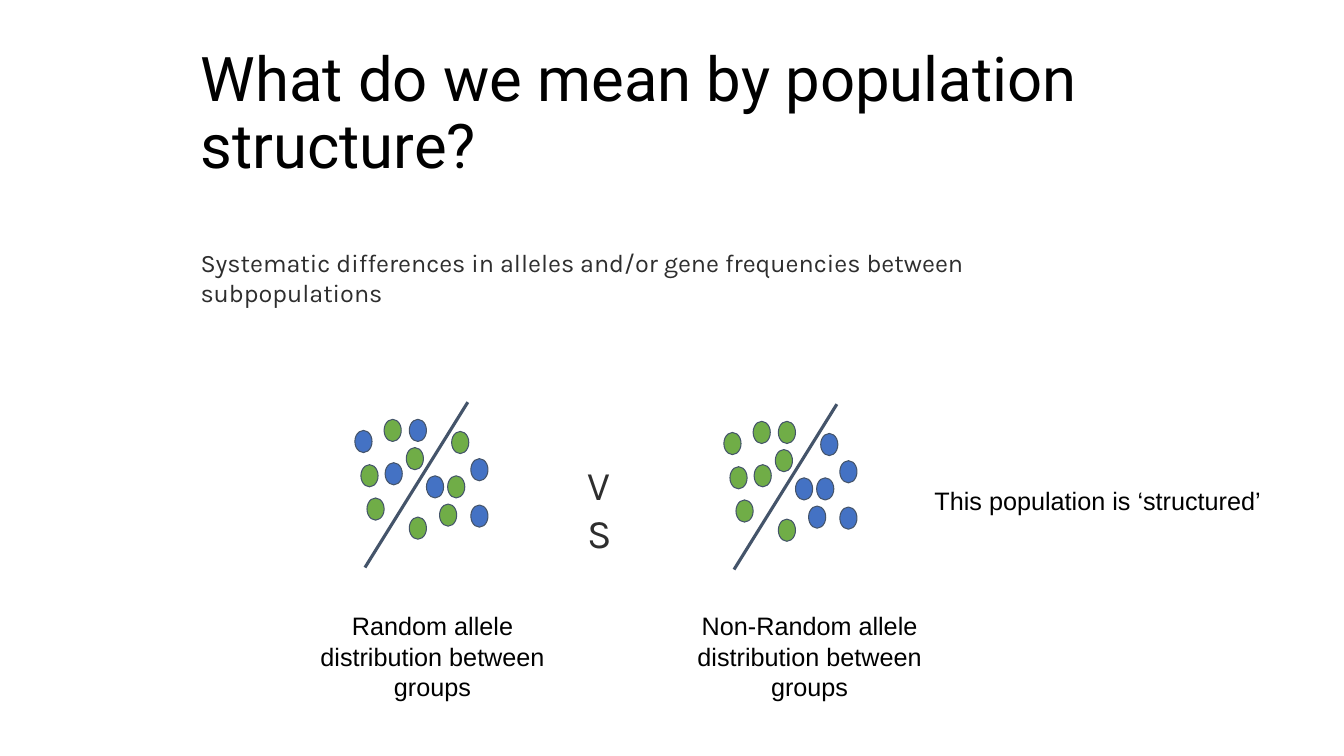
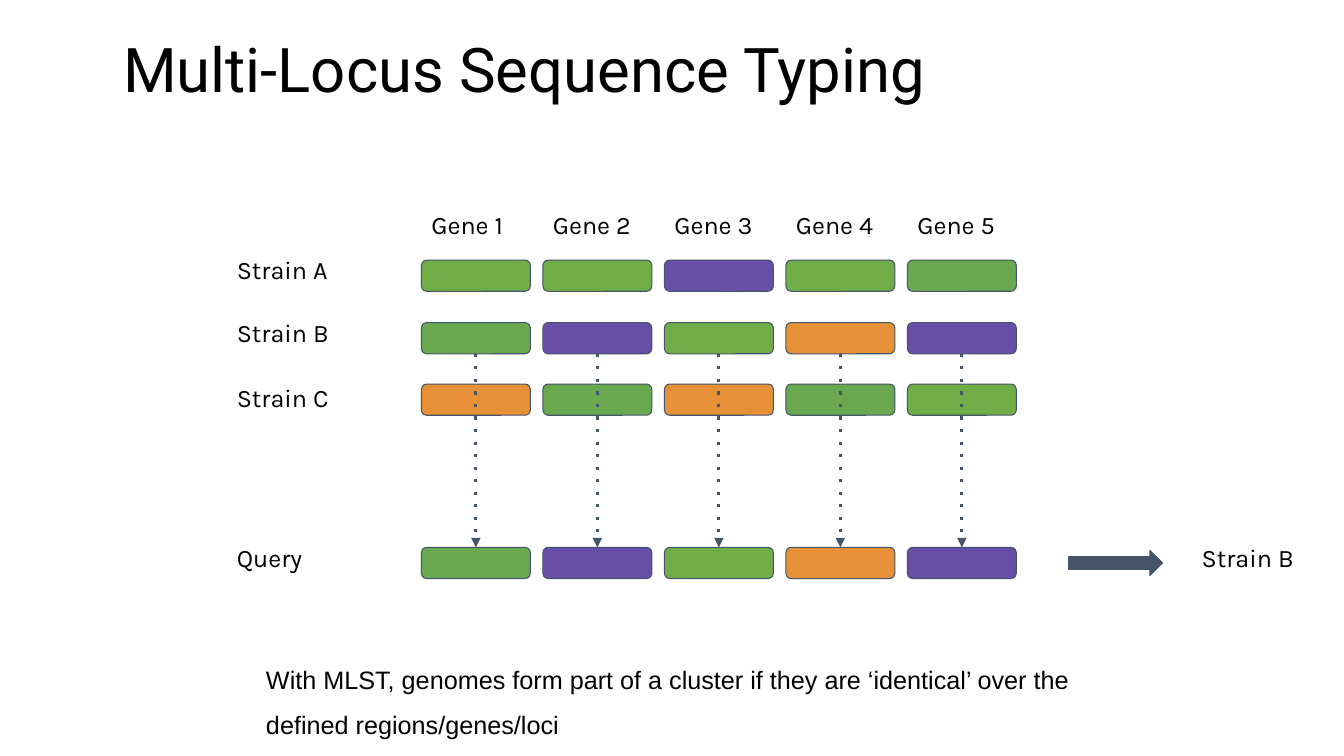
from lxml import etree
from pptx import Presentation
from pptx.dml.color import RGBColor
from pptx.enum.shapes import MSO_CONNECTOR, MSO_SHAPE
from pptx.enum.text import MSO_ANCHOR, MSO_AUTO_SIZE, PP_ALIGN
from pptx.oxml.ns import qn
from pptx.util import Inches, Pt

BLACK = RGBColor(0x00, 0x00, 0x00)
CHARCOAL = RGBColor(0x2E, 0x2E, 0x2E)
SLATE = RGBColor(0x44, 0x54, 0x6A)
BLUE = RGBColor(0x44, 0x72, 0xC4)
GREEN = RGBColor(0x70, 0xAD, 0x47)
LEAF = RGBColor(0x6A, 0xA8, 0x4F)
ORANGE = RGBColor(0xE6, 0x91, 0x38)
PURPLE = RGBColor(0x67, 0x4E, 0xA7)
FILLS = {"B": BLUE, "G": GREEN, "L": LEAF, "O": ORANGE, "P": PURPLE}

OVAL = MSO_SHAPE.OVAL
ROUNDED = MSO_SHAPE.ROUNDED_RECTANGLE
RIGHT_ARROW = MSO_SHAPE.RIGHT_ARROW
STRAIGHT = MSO_CONNECTOR.STRAIGHT
LEFT, CENTER = PP_ALIGN.LEFT, PP_ALIGN.CENTER
BOTTOM_ANCHOR = MSO_ANCHOR.BOTTOM
NO_FIT, GROW = MSO_AUTO_SIZE.NONE, MSO_AUTO_SIZE.SHAPE_TO_FIT_TEXT
TITLE_ONLY = 5
SIDE_TOP, SIDE_BOTTOM = 0, 2

TITLE_FONT, LABEL_FONT, BODY_FONT = "Roboto", "Karla", "Arial"
CELL = 0.1  # grid cell in inches; columns and rows are equal


def cells(*counts):
    """Turn grid columns or rows into lengths."""
    return [Inches(n * CELL) for n in counts]


class Deck:
    def __init__(self):
        self.prs = Presentation()
        self.prs.slide_width, self.prs.slide_height = Inches(13.33), Inches(7.5)
        self.s = None

    def add_slide(self, title, box):
        self.s = self.prs.slides.add_slide(self.prs.slide_layouts[TITLE_ONLY])
        sp = self.s.shapes.title
        sp.left, sp.top, sp.width, sp.height = cells(*box)
        tf = sp.text_frame
        tf.vertical_anchor = BOTTOM_ANCHOR
        self.fill_text(tf, title, TITLE_FONT, 44, BLACK, LEFT, 0.9)
        tf.auto_size = NO_FIT
        tf.margin_top = tf.margin_bottom = Inches(0.1)

    def fill_text(self, tf, text, font, size, color, align, spacing):
        tf.text = text
        p = tf.paragraphs[0]
        p.alignment, p.line_spacing = align, spacing
        f = p.runs[0].font
        f.name, f.size, f.color.rgb = font, Pt(size), color

    def text(self, text, box, font=BODY_FONT, size=18, color=BLACK,
             align=LEFT, spacing=None, wrap=True):
        tf = self.s.shapes.add_textbox(*cells(*box)).text_frame
        tf.word_wrap, tf.auto_size = wrap, GROW
        self.fill_text(tf, text, font, size, color, align, spacing)
        return tf

    def label(self, text, box, size=18, color=BLACK):
        tf = self.text(text, box, LABEL_FONT, size, color)
        tf.margin_top = tf.margin_bottom = Inches(0.1)

    def shape(self, kind, box, fill):
        sp = self.s.shapes.add_shape(kind, *cells(*box))
        sp.shadow.inherit = False
        sp.fill.solid()
        sp.fill.fore_color.rgb = fill
        sp.line.color.rgb, sp.line.width = SLATE, Pt(0.75)
        return sp

    def line(self, start=(0, 0), end=(0, 0)):
        c = self.s.shapes.add_connector(STRAIGHT, *cells(*start, *end))
        c.line.color.rgb, c.line.width = SLATE, Pt(2.25)
        etree.SubElement(c._element.spPr, qn("a:effectLst"))
        return c

    def dotted_arrow(self, source, target):
        c = self.line()
        c.begin_connect(source, SIDE_BOTTOM)
        c.end_connect(target, SIDE_TOP)
        ln = c._element.spPr.find(qn("a:ln"))
        etree.SubElement(ln, qn("a:prstDash"), val="dot")
        etree.SubElement(ln, qn("a:tailEnd"), type="triangle")


DOTS = [(0, 2.8), (2.9, 1.7), (0.6, 6.2), (5.4, 11.4), (3, 6), (9.2, 7.3),
        (7.1, 7.3), (5.4, 1.7), (8.4, 10.1), (11.5, 5.6), (11.5, 10.2),
        (1.2, 9.5), (9.6, 2.9), (5.1, 4.5)]


def population(deck, x, y, alleles):
    """Scatter the alleles and split them by a slanted line."""
    for (dx, dy), allele in zip(DOTS, alleles):
        deck.shape(OVAL, (x + dx, y + dy, 1.7, 2.2), FILLS[allele])
    deck.line((x + 1, y + 16.4), (x + 11.2, y))


def population_structure(deck):
    deck.add_slide("What do we mean by population structure?",
                   (18.9, 2.3, 91.5, 16.7))
    deck.label("Systematic differences in alleles and/or gene frequencies "
               "between subpopulations", (18.9, 23.5, 87.9, 5), color=CHARCOAL)
    population(deck, 35.2, 39.9, "BGGGBGBBGBBGGG")
    population(deck, 71.8, 40.1, "GGGGGBBGBBBGBG")
    deck.label("VS", (57.3, 44.6, 6.5, 6.9), 29, CHARCOAL)
    for x, kind in ((29.4, "Random"), (66.8, "Non-Random")):
        deck.text(f"{kind} allele distribution between groups",
                  (x, 60.1, 27, 10.1), align=CENTER)
    deck.text("This population is ‘structured’", (91.7, 47.7, 34.6, 4),
              wrap=False)


def sequence_typing(deck):
    deck.add_slide("Multi-Locus Sequence Typing", (11.2, 3.8, 82.8, 7.7))
    gene_x = [41.8 + 12.05 * i for i in range(5)]
    for i, x in enumerate(gene_x, 1):
        deck.label(f"Gene {i}", (x, 19.8, 10.8, 5))
    # name, top of the label, top of the boxes, fill of each gene
    rows = [("Strain A", 24.2, 25.8, "GGPGL"), ("Strain B", 30.5, 32, "LPGOP"),
            ("Strain C", 36.9, 38.1, "OLOLG"), ("Query", 52.8, 54.3, "LPGOP")]
    genes = {}
    for name, label_y, y, fills in rows:
        deck.label(name, (22.5, label_y, 25.8, 5))
        genes[name] = [deck.shape(ROUNDED, (x, y, 10.8, 3.1), FILLS[fill])
                       for x, fill in zip(gene_x, fills)]
    for match, query in zip(genes["Strain B"], genes["Query"]):
        deck.dotted_arrow(match, query)
    deck.shape(RIGHT_ARROW, (106, 54.6, 9.3, 2.5), SLATE)
    deck.label("Strain B", (118.2, 52.8, 11.8, 5))
    deck.text("With MLST, genomes form part of a cluster if they are "
              "‘identical’ over the defined regions/genes/loci",
              (25.4, 63.9, 83, 9.7), spacing=1.5)


def main():
    deck = Deck()
    population_structure(deck)
    sequence_typing(deck)
    deck.prs.save("out.pptx")


if __name__ == "__main__":
    main()
